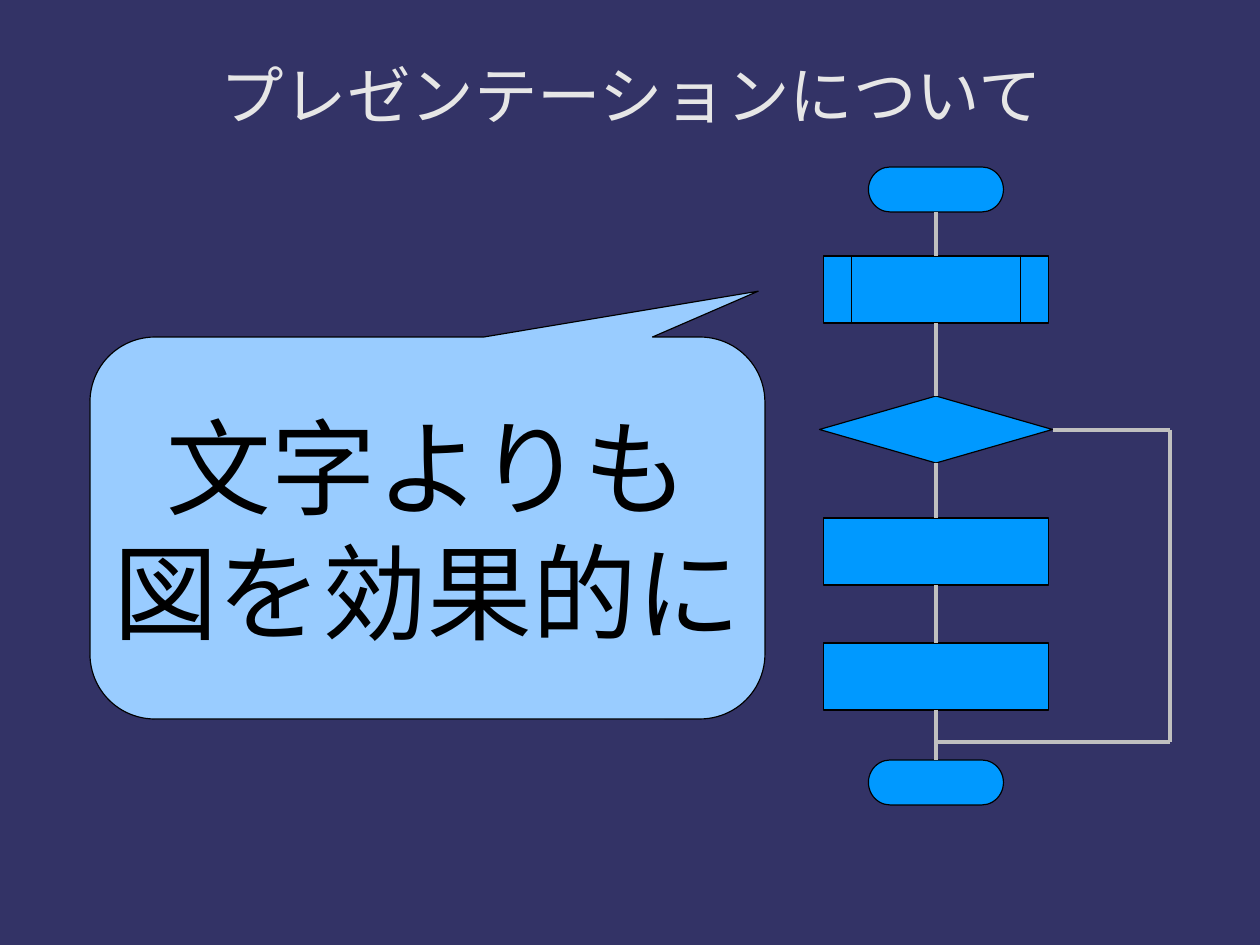
from itertools import pairwise

from lxml import etree
from pptx import Presentation
from pptx.dml.color import RGBColor
from pptx.enum import shapes, text
from pptx.oxml.ns import qn

KIND = shapes.MSO_SHAPE
PX = 8000  # EMU per px

NAVY = RGBColor(0x33, 0x33, 0x66)
BLUE = RGBColor(0x00, 0x99, 0xFF)
PALE_BLUE = RGBColor(0x99, 0xCC, 0xFF)
SILVER = RGBColor(0xC0, 0xC0, 0xC0)
LIGHT = RGBColor(0xE6, 0xE6, 0xE6)
BLACK = RGBColor(0, 0, 0)

# Content
TITLE = "プレゼンテーションについて"
MESSAGE = ["文字よりも", "図を効果的に"]
FLOW_CENTER = 936
FLOW = [  # kind, top, width, height
    (KIND.FLOWCHART_TERMINATOR, 167, 135, 45),
    (KIND.FLOWCHART_PREDEFINED_PROCESS, 256, 225, 67),
    (KIND.FLOWCHART_DECISION, 396, 233, 67),
    (KIND.FLOWCHART_PROCESS, 518, 225, 67),
    (KIND.FLOWCHART_PROCESS, 643, 225, 67),
    (KIND.FLOWCHART_TERMINATOR, 760, 135, 45),
]
BYPASS = [(1053, 430), (1170, 430), (1170, 742), (FLOW_CENTER, 742)]
BOTTOM_SITE, TOP_SITE = 2, 0

prs = Presentation()
prs.slide_width, prs.slide_height = 1260 * PX, 945 * PX
slide = prs.slides.add_slide(prs.slide_layouts[6])
slide.background.fill.solid()
slide.background.fill.fore_color.rgb = NAVY


def add_filled(kind, left, top, width, height, color):
    sp = slide.shapes.add_shape(kind, *(int(v * PX) for v in (left, top, width, height)))
    sp.shadow.inherit = False
    sp.fill.solid()
    sp.fill.fore_color.rgb = color
    sp.line.color.rgb = BLACK
    sp.line.width = 0
    return sp


def add_line(start, end):
    line = slide.shapes.add_connector(
        shapes.MSO_CONNECTOR.STRAIGHT, *(v * PX for v in start + end))
    line.line.color.rgb = SILVER
    line.line.width = 0
    etree.SubElement(line._element.spPr, qn("a:effectLst"))
    return line


def write(tf, lines, font, size, color):
    tf.vertical_anchor = text.MSO_ANCHOR.MIDDLE
    tf.text = "\n".join(lines)
    for p in tf.paragraphs:
        p.alignment = text.PP_ALIGN.CENTER
        for r in p.runs:
            r.font.name = font
            r.font.size = size * 12700
            r.font.color.rgb = color


# Title
title = slide.shapes.add_textbox(93 * PX, 15 * PX, 1076 * PX, 158 * PX)
tf = title.text_frame
tf.word_wrap = True
tf.margin_left = tf.margin_top = tf.margin_right = tf.margin_bottom = 0
write(tf, [TITLE], "Karla", 40, LIGHT)

# Flowchart steps, centred on one axis
steps = [add_filled(kind, FLOW_CENTER - w / 2, top, w, h, BLUE)
         for kind, top, w, h in FLOW]

# Lines between steps
for upper, lower in pairwise(steps):
    line = add_line((0, 0), (0, 0))
    line.begin_connect(upper, BOTTOM_SITE)
    line.end_connect(lower, TOP_SITE)

# Bypass from the decision to the end
for start, end in pairwise(BYPASS):
    add_line(start, end)

# Callout
callout = add_filled(KIND.ROUNDED_RECTANGULAR_CALLOUT, 90, 337, 675, 382, PALE_BLUE)
for i, value in enumerate((0.49, -0.62, 0.17)):
    callout.adjustments[i] = value
callout.text_frame.word_wrap = False
write(callout.text_frame, MESSAGE, "Arial", 66, BLACK)

prs.save("out.pptx")
